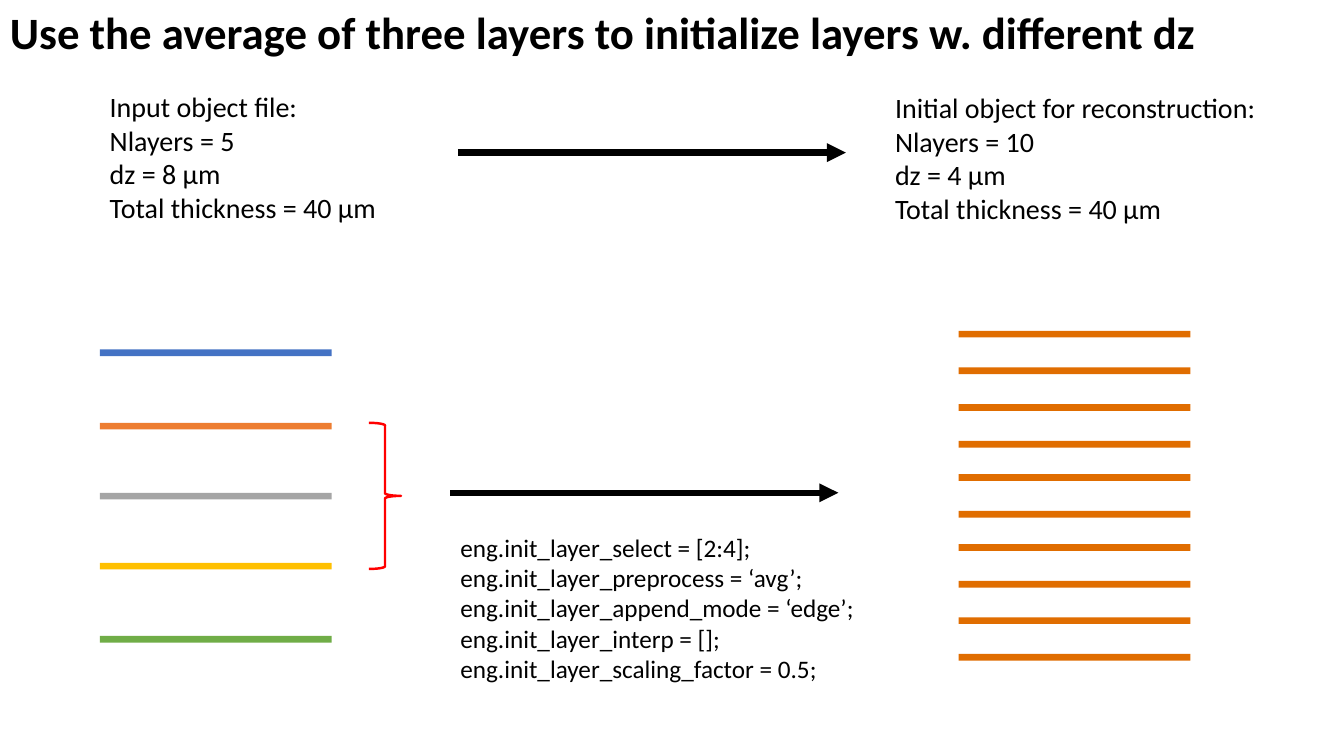
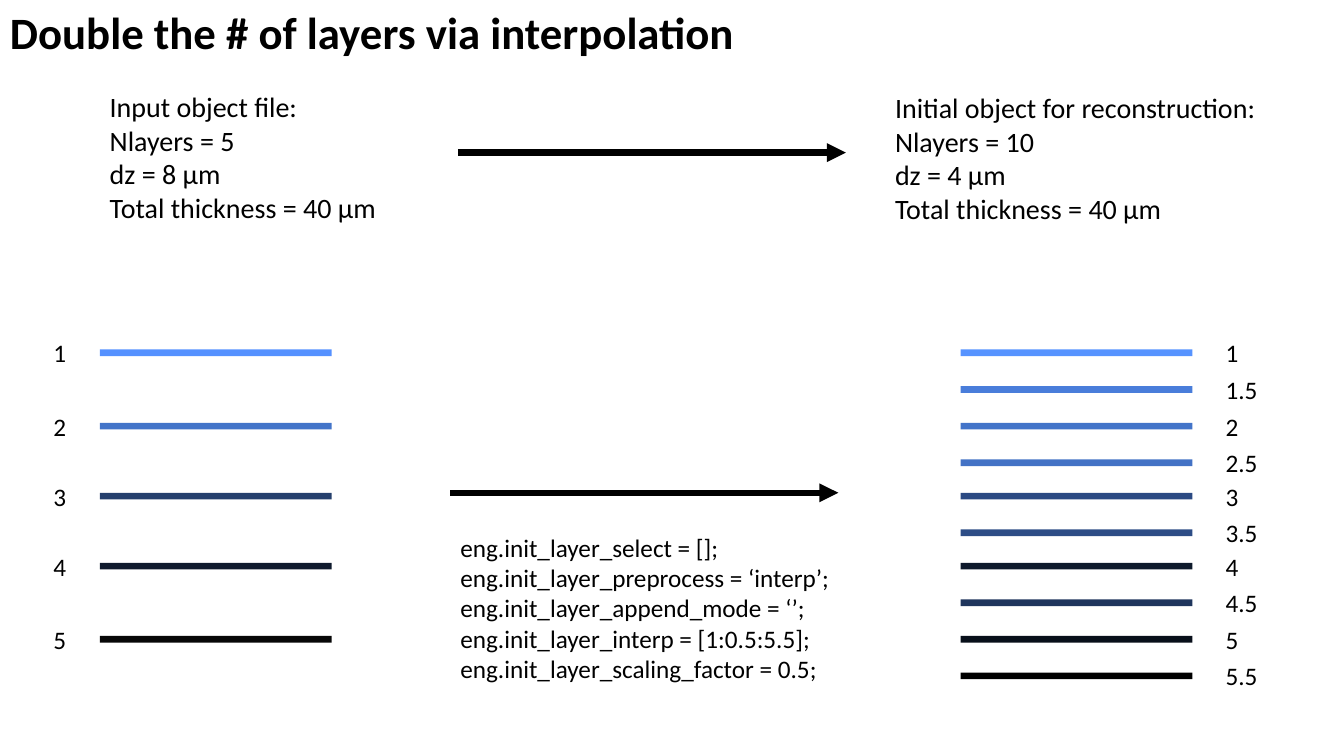
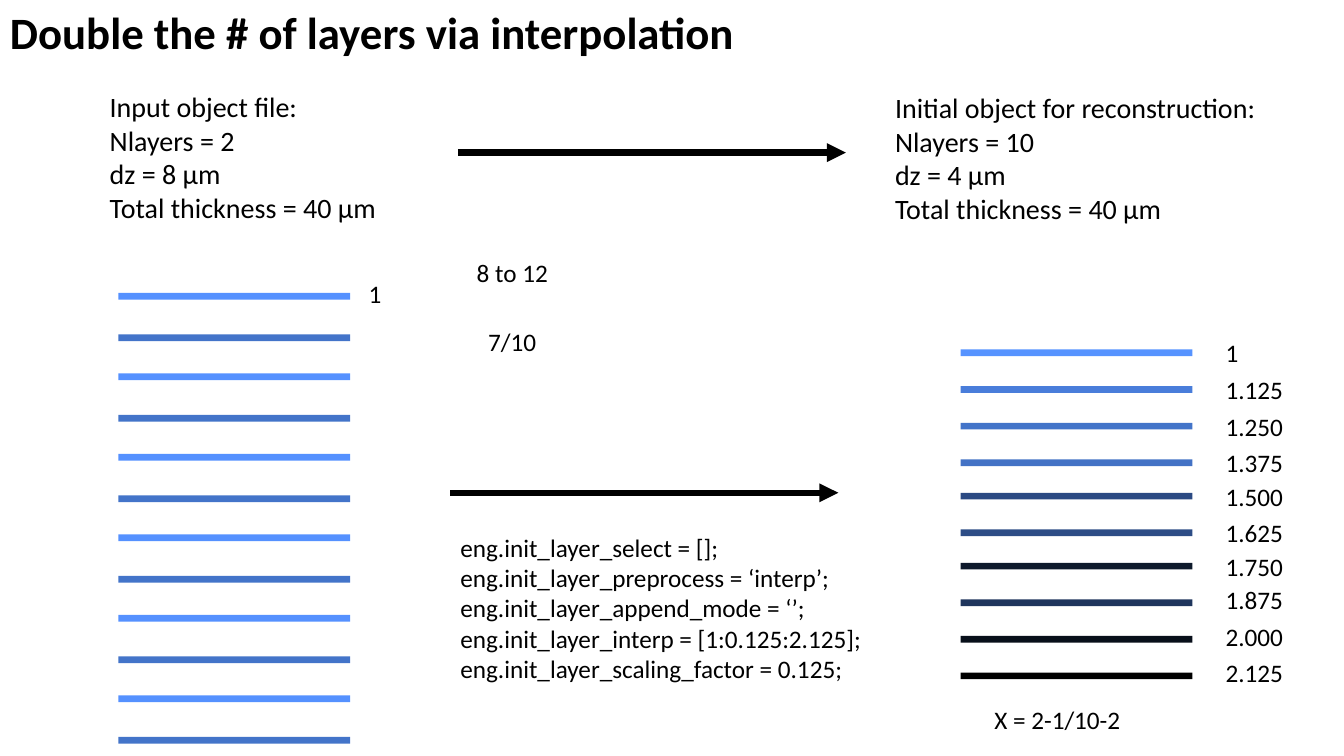
from lxml.etree import SubElement
from pptx import Presentation
from pptx.dml.color import RGBColor
from pptx.enum.shapes import MSO_CONNECTOR as LINK, MSO_SHAPE as SHAPE
from pptx.enum.text import MSO_AUTO_SIZE as FIT
from pptx.oxml.ns import qn
from pptx.util import Pt

BLACK = RGBColor(0x00, 0x00, 0x00)
RED = RGBColor(0xFF, 0x00, 0x00)
RUST = RGBColor(0xE0, 0x6D, 0x00)
SKY = RGBColor(0x55, 0x91, 0xFF)
BLUE = RGBColor(0x43, 0x74, 0xC9)
MIXED = [
    RGBColor(0x44, 0x72, 0xC4),
    RGBColor(0xED, 0x7D, 0x31),
    RGBColor(0xA5, 0xA5, 0xA5),
    RGBColor(0xFF, 0xC0, 0x00),
    RGBColor(0x70, 0xAD, 0x47),
]
FADE = [
    SKY,
    BLUE,
    RGBColor(0x25, 0x3F, 0x6D),
    RGBColor(0x0F, 0x1A, 0x2D),
    RGBColor(0x07, 0x07, 0x07),
]
FINE = [
    RGBColor(0x56, 0x93, 0xFF),
    RGBColor(0x49, 0x7D, 0xDA),
    BLUE,
    RGBColor(0x43, 0x72, 0xC5),
    RGBColor(0x2B, 0x4A, 0x83),
    RGBColor(0x2D, 0x4D, 0x86),
    RGBColor(0x0E, 0x1A, 0x2C),
    RGBColor(0x1F, 0x35, 0x5D),
    RGBColor(0x08, 0x0F, 0x1A),
    BLACK,
]

FONT = "Calibri"
LEFT = 71.3
RIGHT = 686.2
TOPS = [249.6, 302, 352, 402, 454.2]
STEP = 26.2
SPLIT = [top + add for top in TOPS for add in (0, STEP)]
LIFT = 12.1
WIDE = {1: 24, 3: 37.4, 5: 56}

AVERAGE = "Use the average of three layers to initialize layers w. different dz"
DOUBLE = "Double the # of layers via interpolation"
PAGES = [
    (AVERAGE, 870.5, 5, 299.5, "[2:4]", "avg", "edge", "[]", "0.5"),
    (DOUBLE, 537, 5, 285, "[]", "interp", "", "[1:0.5:5.5]", "0.5"),
    (DOUBLE, 537, 2, 308, "[]", "interp", "", "[1:0.125:2.125]", "0.125"),
]


def write(slide, x, y, w, h, words, size=18, bold=False):
    box = slide.shapes.add_textbox(Pt(x), Pt(y), Pt(w), Pt(h))
    frame = box.text_frame
    frame.text = words
    frame.word_wrap = False
    frame.auto_size = FIT.SHAPE_TO_FIT_TEXT
    for para in frame.paragraphs:
        for run in para.runs:
            run.font.name = FONT
            run.font.size = Pt(size)
            run.font.bold = bold
            run.font.color.rgb = BLACK


def stack(slide, x, tops, tints):
    for top, tint in zip(tops, tints):
        bar = slide.shapes.add_shape(SHAPE.RECTANGLE, Pt(x), Pt(top), Pt(165.6), Pt(4.8))
        bar.shadow.inherit = False
        bar.fill.solid()
        bar.fill.fore_color.rgb = tint
        bar.line.fill.background()


deck = Presentation()
deck.slide_width = Pt(960)
deck.slide_height = Pt(540)
slides = []

for title, wide, count, span, select, prep, mode, interp, scale in PAGES:
    slide = deck.slides.add_slide(deck.slide_layouts[6])
    slides.append(slide)
    write(slide, 0, 0, wide, 46, title, 32, True)
    for x, y, w, head, layers, depth in [
        (71.3, 60.5, 206.6, "Input object file:", count, 8),
        (632.2, 61.2, 275, "Initial object for reconstruction:", 10, 4),
    ]:
        facts = f"{head}\nNlayers = {layers}\ndz = {depth} μm\nTotal thickness = 40 μm"
        write(slide, x, y, w, 104.4, facts, 20)
    code = [
        f"select = {select};",
        f"preprocess = ‘{prep}’;",
        f"append_mode = ‘{mode}’;",
        f"interp = {interp};",
        f"scaling_factor = {scale};",
    ]
    write(slide, 321.8, 376.6, span, 116.6, "\n".join("eng.init_layer_" + line for line in code))
    for x, y in [(327, 109), (321.6, 352)]:
        arrow = slide.shapes.add_connector(LINK.STRAIGHT, Pt(x), Pt(y), Pt(x + 277.2), Pt(y))
        arrow.line.color.rgb = BLACK
        arrow.line.width = Pt(4.5)
        SubElement(arrow.line._get_or_add_ln(), qn("a:tailEnd"), type="triangle")
        SubElement(arrow._element.spPr, qn("a:effectLst"))

mean, half, eighth = slides

stack(mean, LEFT, TOPS, MIXED)
stack(mean, 684.7, [top - 13.3 for top in SPLIT], [RUST] * 10)
brace = mean.shapes.add_shape(SHAPE.RIGHT_BRACE, Pt(263.5), Pt(302), Pt(23), Pt(104.4))
brace.shadow.inherit = False
brace.fill.background()
brace.line.color.rgb = RED
brace.line.width = Pt(1.75)

stack(half, LEFT, TOPS, FADE)
for i, top in enumerate(TOPS):
    write(half, 31, top - LIFT, 24, 29, str(i + 1))

stack(eighth, 84.6, [209.2 + 57.5 * i + add for i in range(6) for add in (0, 29.7)], [SKY, BLUE] * 6)
for x, y, w, words in [
    (256.3, 195.4, 24, "1"),
    (333.4, 180.4, 66.2, "8 to 12"),
    (341.6, 229.8, 49, "7/10"),
    (703.2, 499.8, 105.8, "X = 2-1/10-2"),
]:
    write(eighth, x, y, w, 29, words)

marks = [f"{1 + i / 2:g}" for i in range(10)]
parts = ["1"] + [f"{1 + i / 8:.3f}" for i in range(1, 10)]
for slide, names, rise in [(half, marks, 0), (eighth, parts, 2.2)]:
    stack(slide, RIGHT, SPLIT, FINE)
    for i, (top, name) in enumerate(zip(SPLIT, names)):
        shift = rise if i > 6 else 0
        write(slide, 868.3, top - LIFT - shift, WIDE[len(name)], 29, name)

deck.save("out.pptx")
